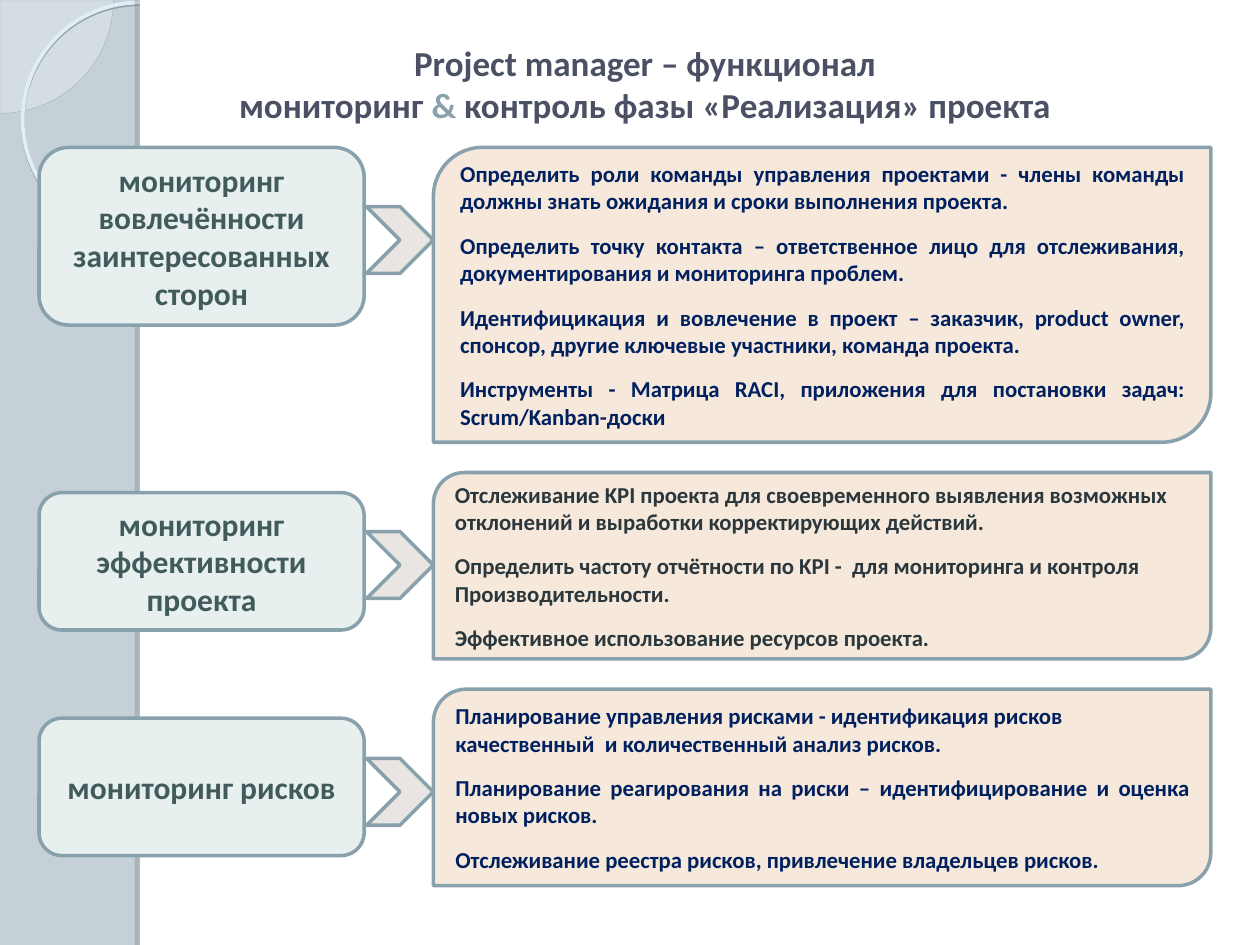
import pptx
import pptx.util
import pptx.dml.color
import pptx.enum.shapes
import pptx.enum.text
import pptx.oxml
import pptx.oxml.ns

COLUMNS, ROWS = 100, 75
CELL = pptx.util.Inches(0.1)
SHAPES = pptx.enum.shapes.MSO_SHAPE
ALIGN = pptx.enum.text.PP_ALIGN
MIDDLE = pptx.enum.text.MSO_ANCHOR.MIDDLE

COLORS = {
    "background": "C5D1D7", "paper": "FFFFFF",
    "wedge": "F4F8FA", "wedge_line": "A0B5BF",
    "ring": "E0EEF6", "ring_shadow": "8D9AA1", "edge_shadow": "5D6468",
    "outline": "88A1AD", "topic": "E8EFEF", "topic_text": "415B5C",
    "panel": "F6E9DB", "arrow": "E8E5E2",
    "title": "4B5064", "navy": "002060", "slate": "2A373D",
}

TITLE = [
    [("Project manager – функционал", "title")],
    [("мониторинг ", "title"), ("&", "outline"),
     (" контроль фазы «Реализация» проекта", "title")],
]

SECTIONS = [
    {
        "topic": "мониторинг вовлечённости заинтересованных сторон",
        "topic_rows": (11.7, 14.1), "panel_rows": (11.7, 23.4),
        "arrow_row": 16.4, "color": "navy",
        "points": [
            ["Определить роли команды управления проектами - члены команды "
             "должны знать ожидания и сроки выполнения проекта."],
            ["Определить точку контакта – ответственное лицо для отслеживания, "
             "документирования и мониторинга проблем."],
            ["Идентифицикация и вовлечение в проект – заказчик, product owner, "
             "спонсор, другие ключевые участники, команда проекта."],
            ["Инструменты - Матрица RACI, приложения для постановки задач: "
             "Scrum/Kanban-доски"],
        ],
    },
    {
        "topic": "мониторинг эффективности проекта",
        "topic_rows": (39.1, 10.9), "panel_rows": (37.5, 14.8),
        "arrow_row": 42.2, "color": "slate",
        "points": [
            ["Отслеживание KPI проекта для своевременного выявления возможных",
             "отклонений и выработки корректирующих действий."],
            ["Определить частоту отчётности по KPI -  для мониторинга и контроля",
             "Производительности."],
            ["Эффективное использование ресурсов проекта."],
        ],
    },
    {
        "topic": "мониторинг рисков",
        "topic_rows": (57, 10.9), "panel_rows": (54.7, 15.6),
        "arrow_row": 60.2, "color": "navy",
        "points": [
            ["Планирование управления рисками - идентификация рисков",
             "качественный  и количественный анализ рисков."],
            ["Планирование реагирования на риски – идентифицирование и оценка "
             "новых рисков."],
            ["Отслеживание реестра рисков, привлечение владельцев рисков."],
        ],
    },
]


def color(name):
    return pptx.dml.color.RGBColor.from_string(COLORS[name])


def cells(*lengths):
    return [round(length * CELL) for length in lengths]


def add_block(slide, kind, box, fill=None, line=None, width=2):
    shape = slide.shapes.add_shape(kind, *cells(*box))
    shape.shadow.inherit = False
    if fill:
        shape.fill.solid()
        shape.fill.fore_color.rgb = color(fill)
    else:
        shape.fill.background()
    if line:
        shape.line.color.rgb = color(line)
        shape.line.width = pptx.util.Pt(width)
    else:
        shape.line.fill.background()
    return shape


def add_shadow(shape, name, opacity, distance, angle):
    effects = shape._element.spPr.find(pptx.oxml.ns.qn("a:effectLst"))
    effects.append(pptx.oxml.parse_xml(
        f'<a:outerShdw {pptx.oxml.ns.nsdecls("a")} blurRad="0" '
        f'dist="{pptx.util.Pt(distance)}" dir="{angle * 60000}" algn="tl" '
        f'rotWithShape="0"><a:srgbClr val="{COLORS[name]}">'
        f'<a:alpha val="{opacity * 1000}"/></a:srgbClr></a:outerShdw>'))


def set_opacity(shape, opacity):
    fill_color = shape._element.spPr.find(
        pptx.oxml.ns.qn("a:solidFill") + "/" + pptx.oxml.ns.qn("a:srgbClr"))
    fill_color.append(pptx.oxml.parse_xml(
        f'<a:alpha {pptx.oxml.ns.nsdecls("a")} val="{opacity * 1000}"/>'))


def add_run(paragraph, text, size, name):
    run = paragraph.add_run()
    run.text = text
    run.font.name = "Calibri"
    run.font.size = pptx.util.Pt(size)
    run.font.bold = True
    run.font.color.rgb = color(name)


def write(shape, paragraphs, size, alignment):
    frame = shape.text_frame
    frame.word_wrap = True
    frame.auto_size = pptx.enum.text.MSO_AUTO_SIZE.NONE
    frame.vertical_anchor = MIDDLE
    for index, (runs, space_before) in enumerate(paragraphs):
        paragraph = frame.add_paragraph() if index else frame.paragraphs[0]
        paragraph.alignment = alignment
        paragraph.space_before = pptx.util.Pt(space_before)
        for text, name in runs:
            add_run(paragraph, text, size, name)


def add_decoration(slide):
    wedge = add_block(slide, SHAPES.PIE_WEDGE, (0, 0, 9, 9), "wedge", "wedge_line", 0.25)
    wedge.rotation = 180
    set_opacity(wedge, 33)
    ring = add_block(slide, SHAPES.OVAL, (1.8, 0.2, 18.6, 18.6), None, "ring", 2.15)
    add_shadow(ring, "ring_shadow", 85, 1, 90)
    add_block(slide, SHAPES.RECTANGLE, (11.1, 0, COLUMNS - 11.1, ROWS), "paper")
    edge = add_block(slide, SHAPES.RECTANGLE, (11.1, 0, 0.8, ROWS), "paper")
    add_shadow(edge, "edge_shadow", 25, 3, 180)


def add_title(slide):
    title = slide.shapes.title
    title.left, title.top, title.width, title.height = cells(6.3, 3.1, 89.8, 7)
    write(title, [(runs, 0) for runs in TITLE], 20, ALIGN.CENTER)


def add_section(slide, section):
    top, height = section["panel_rows"]
    panel = add_block(slide, SHAPES.ROUND_2_DIAG_RECTANGLE,
                      (34.4, top, 61.7, height), "panel", "outline")
    paragraphs = [
        ([(line, section["color"])], 9.8 if point_index and not line_index else 0)
        for point_index, point in enumerate(section["points"])
        for line_index, line in enumerate(point)
    ]
    write(panel, paragraphs, 13, ALIGN.JUSTIFY)

    top, height = section["topic_rows"]
    topic = add_block(slide, SHAPES.ROUNDED_RECTANGLE,
                      (3.1, top, 25.8, height), "topic", "outline")
    write(topic, [([(section["topic"], "topic_text")], 0)], 18, ALIGN.CENTER)

    add_block(slide, SHAPES.CHEVRON, (29.1, section["arrow_row"], 5.3, 5.3),
              "arrow", "outline")


def main():
    presentation = pptx.Presentation()
    presentation.slide_width, presentation.slide_height = cells(COLUMNS, ROWS)
    slide = presentation.slides.add_slide(presentation.slide_layouts[5])
    slide.background.fill.solid()
    slide.background.fill.fore_color.rgb = color("background")
    add_decoration(slide)
    add_title(slide)
    for section in SECTIONS:
        add_section(slide, section)
    title = slide.shapes.title._element
    slide.shapes._spTree.append(title)
    presentation.save("out.pptx")


if __name__ == "__main__":
    main()
